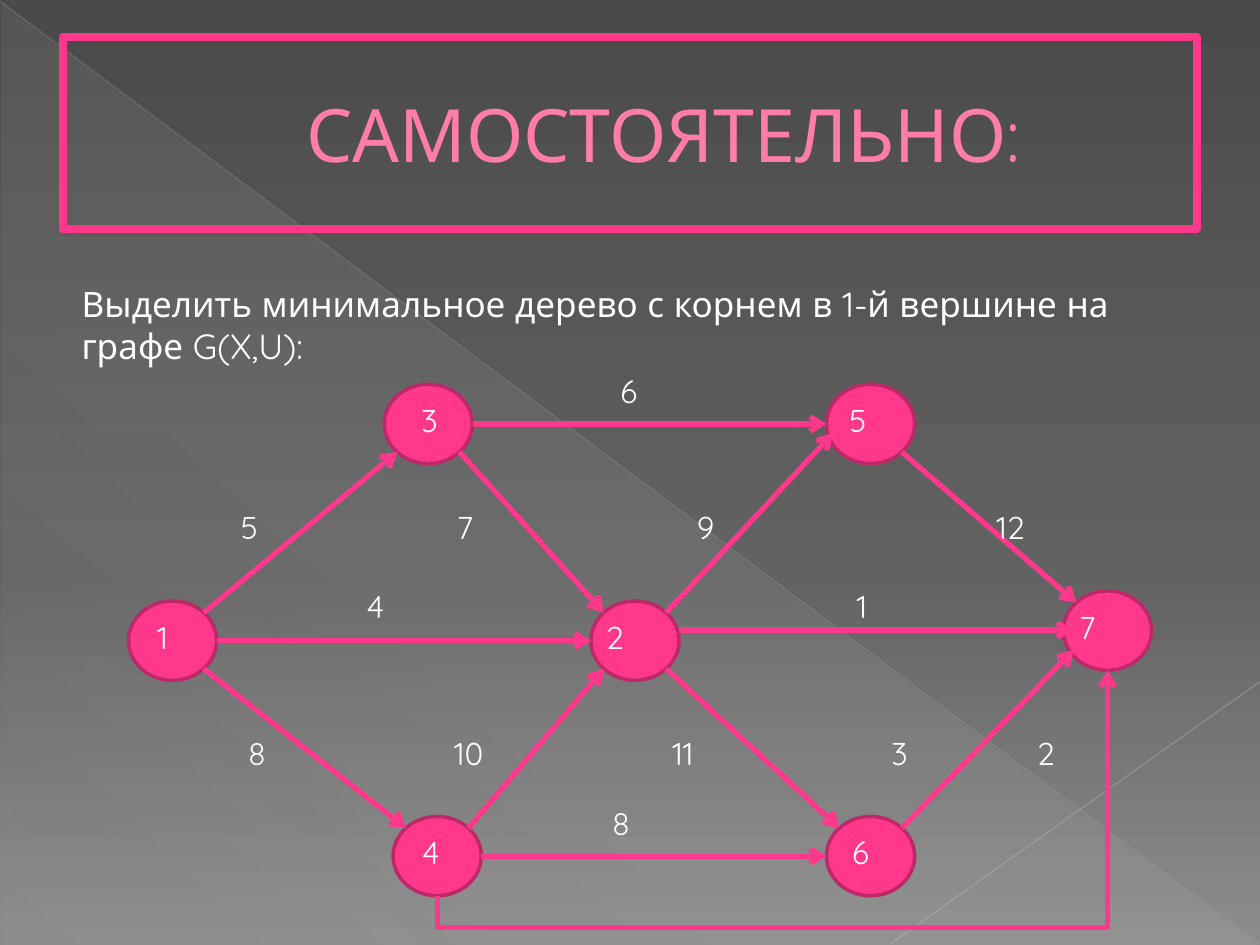
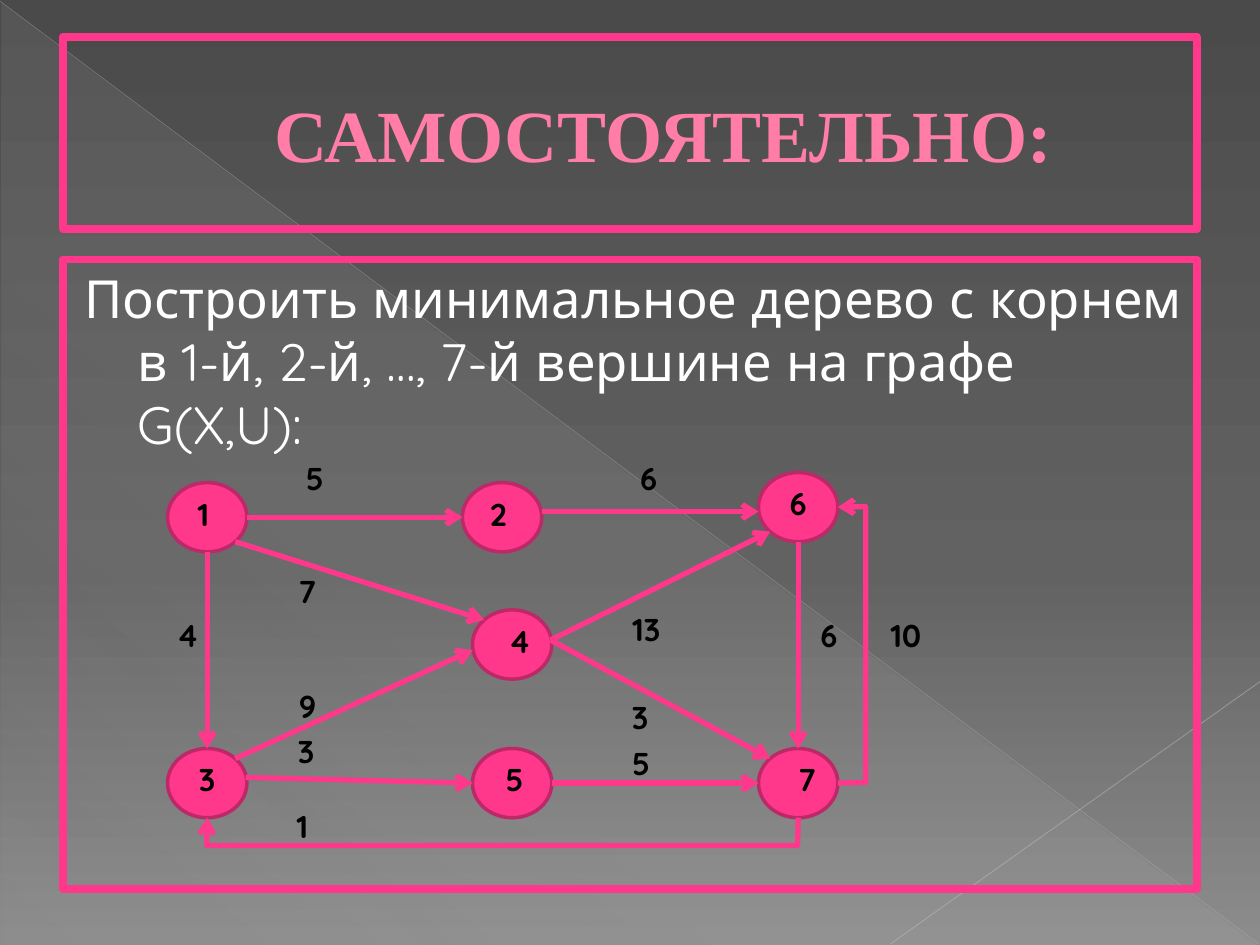
from lxml import etree
from pptx import Presentation
from pptx import util as u
from pptx.dml.color import RGBColor
from pptx.enum import shapes, text
from pptx.oxml import ns

PINK = RGBColor(0xFF, 0x38, 0x8C)
NODE_BORDER = RGBColor(0xBD, 0x29, 0x68)
TITLE_PINK = RGBColor(0xFF, 0x7D, 0xA7)
TITLE_OUTLINE = RGBColor(0xB1, 0x27, 0x61)
WHITE = RGBColor(0xFF, 0xFF, 0xFF)
BLACK = RGBColor(0, 0, 0)
PALE_GREY = RGBColor(0xBF, 0xBF, 0xBF)
LIGHT_GREY = RGBColor(0xC6, 0xC6, 0xC6)
FONT = "Quicksand"

# Gradient stops: position, colour, opacity (percent)
BACKGROUND_STOPS = [(0, "4A4A4A", 100), (60, "626262", 100), (100, "8C8C8C", 100)]
TRIANGLE_STOPS = [(0, "D2D2D2", 10), (70, "D2D2D2", 8), (100, "D2D2D2", 1)]

DIAGONAL = 0.3536  # half of cos 45°: diagonal point of an ellipse of width 1
SIDES = {
    "top": (0, -0.5), "bottom": (0, 0.5), "left": (-0.5, 0), "right": (0.5, 0),
    "top-left": (-DIAGONAL, -DIAGONAL), "top-right": (DIAGONAL, -DIAGONAL),
    "bottom-left": (-DIAGONAL, DIAGONAL), "bottom-right": (DIAGONAL, DIAGONAL),
}

# Nodes: number -> left, top, shift of the number from the centre
FIRST_SIZE = (0.7, 0.63)
FIRST_NODES = {
    1: (1.02, 4.77, -0.08), 2: (4.69, 4.77, -0.16), 3: (3.05, 3.05, 0.01),
    4: (3.12, 6.48, -0.05), 5: (6.56, 3.05, -0.1), 6: (6.56, 6.48, -0.08),
    7: (8.44, 4.69, -0.16),
}
# Edges: each end is a side of a node or a free point
FIRST_EDGES = [
    ((1, "top-right"), (3, "bottom-left")),
    ((1, "right"), (2, "left")),
    ((1, "bottom-right"), (4, "top-left")),
    ((3, "bottom-right"), (2, "top-left")),
    ((3, "right"), (5, "left")),
    ((4, "top-right"), (2, "bottom-left")),
    ((4, "right"), (6, "left")),
    ((2, "top-right"), (6.61, 3.44)),
    ((2, "bottom-right"), (6, "top-left")),
    ((5.39, 5), (8.52, 5)),
    ((5, "bottom-right"), (7, "top-left")),
    ((6, "top-right"), (8.52, 5.16)),
]
# Weights: row centre -> (text, column centre)
FIRST_WEIGHTS = {
    3.1: [("6", 4.99)],
    4.18: [("5", 1.98), ("7", 3.69), ("9", 5.6), ("12", 8.02)],
    4.81: [("4", 2.98), ("1", 6.84)],
    5.98: [("8", 2.04), ("10", 3.72), ("11", 5.42), ("3", 7.14), ("2", 8.3)],
    6.53: [("8", 4.93)],
}

SECOND_SIZE = (0.63, 0.55)
SECOND_NODES = {
    1: (1.33, 3.83, -0.03), 2: (3.67, 3.83, -0.03), 3: (1.33, 5.94, 0),
    4: (3.75, 4.84, 0.06), 5: (3.75, 5.94, 0.02), 6: (6.02, 3.75, 0),
    7: (6.02, 5.94, 0.07),
}
SECOND_EDGES = [
    ((1, "right"), (2, "left")),
    ((1, "bottom-right"), (4, "top-left")),
    ((1, "bottom"), (3, "top")),
    ((4.3, 4.06), (6.02, 4.06)),
    ((3, "top-right"), (3.75, 5.16)),
    ((1.95, 6.17), (5, "left")),
    ((4.37, 5.08), (6, "bottom-left")),
    ((4.37, 5.08), (7, "top-left")),
    ((5, "right"), (7, "left")),
    ((6, "bottom"), (7, "top")),
]
SECOND_WEIGHTS = {
    3.79: [("5", 2.5), ("6", 5.15)],
    4.69: [("7", 2.44)],
    4.99: [("13", 5.13)],
    5.04: [("4", 1.49), ("6", 6.58), ("10", 7.19)],
    5.6: [("9", 2.44)],
    5.69: [("3", 5.08)],
    5.96: [("3", 2.43)],
    6.06: [("5", 5.09)],
    6.56: [("1", 2.4)],
}


def add_xml(parent, tag, **attributes):
    child = etree.SubElement(parent, ns.qn(tag))
    for name, value in attributes.items():
        child.set(name, str(value))
    return child


def set_gradient(properties, stops, angle):
    """Put a gradient in the place of the plain fill."""
    gradient = etree.Element(ns.qn("a:gradFill"), rotWithShape="1")
    stop_list = add_xml(gradient, "a:gsLst")
    for position, colour, opacity in stops:
        stop = add_xml(stop_list, "a:gs", pos=position * 1000)
        colour_node = add_xml(stop, "a:srgbClr", val=colour)
        add_xml(colour_node, "a:alpha", val=opacity * 1000)
    add_xml(gradient, "a:lin", ang=angle * 60000, scaled=0)
    plain_fill = properties.find(ns.qn("a:solidFill"))
    properties.replace(plain_fill, gradient)


def set_line(shape, colour, width):
    shape.line.color.rgb = colour
    shape.line.width = u.Pt(width)


def add_arrowhead(shape):
    line = shape.element.spPr.find(ns.qn("a:ln"))
    add_xml(line, "a:tailEnd", type="arrow")


def add_line(slide, start, end, colour, width):
    connector = slide.shapes.add_connector(
        shapes.MSO_CONNECTOR.STRAIGHT, *map(u.Inches, (*start, *end)))
    set_line(connector, colour, width)
    add_xml(connector.element.spPr, "a:effectLst")
    return connector


def format_text(frame, size, colour, bold=False, font=FONT):
    for paragraph in frame.paragraphs:
        for run in paragraph.runs:
            run.font.name = font
            run.font.size = u.Pt(size)
            run.font.bold = bold
            run.font.color.rgb = colour


def set_indent(paragraph, left, first=0):
    properties = paragraph._p.get_or_add_pPr()
    properties.set("marL", str(u.Inches(left)))
    properties.set("indent", str(u.Inches(first)))


def decorate_master(presentation, slide):
    """Give the master its background, pale triangle and thin lines."""
    master = presentation.slide_master
    master.background.fill.solid()
    set_gradient(master.element.xpath("./p:cSld/p:bg/p:bgPr")[0], BACKGROUND_STOPS, 90)

    triangle = slide.shapes.add_shape(
        shapes.MSO_SHAPE.RIGHT_TRIANGLE, *map(u.Inches, (0.01, 0.02, 9.98, 7.48)))
    triangle.shadow.inherit = False
    triangle.fill.solid()
    triangle.line.fill.background()
    set_gradient(triangle.element.spPr, TRIANGLE_STOPS, 133)

    falling = add_line(slide, (0, 0.01), (9.99, 7.49), PALE_GREY, 0.39)
    rising = add_line(slide, (10, 5.41), (7.07, 7.49), LIGHT_GREY, 0.47)
    for line, opacity in ((falling, 35), (rising, 45)):
        colour = line.element.xpath(".//a:ln//a:srgbClr")[0]
        add_xml(colour, "a:alpha", val=opacity * 1000)

    for number, shape in enumerate((triangle, falling, rising), start=101):
        shape.element.xpath("./*/p:cNvPr")[0].set("id", str(number))
        master.shapes.element.append(shape.element)


def set_title(slide, font, bold):
    title = slide.shapes.title
    title.left, title.top, title.width, title.height = map(u.Inches, (0.5, 0.29, 9, 1.53))
    set_line(title, PINK, 4.5)
    frame = title.text_frame
    frame.text = "САМОСТОЯТЕЛЬНО:"
    frame.vertical_anchor = text.MSO_ANCHOR.MIDDLE
    frame.auto_size = text.MSO_AUTO_SIZE.NONE
    paragraph = frame.paragraphs[0]
    paragraph.alignment = text.PP_ALIGN.CENTER
    set_indent(paragraph, 0.53)
    format_text(frame, 42, TITLE_PINK, bold, font)
    # Thin outline of the letters
    outline = etree.Element(ns.qn("a:ln"), w=str(u.Pt(0.5)))
    add_xml(add_xml(outline, "a:solidFill"), "a:srgbClr", val=TITLE_OUTLINE)
    paragraph.runs[0].font._element.insert(0, outline)


def add_task(slide, box, wording, size):
    task = slide.shapes.add_textbox(*map(u.Inches, box))
    task.text_frame.word_wrap = True
    task.text_frame.text = wording
    format_text(task.text_frame, size, WHITE)
    return task


def add_node(slide, number, place, size, colour, bold):
    left, top, shift = place
    node = slide.shapes.add_shape(
        shapes.MSO_SHAPE.OVAL, *map(u.Inches, (left, top, *size)))
    node.shadow.inherit = False
    node.fill.solid()
    node.fill.fore_color.rgb = PINK
    set_line(node, NODE_BORDER, 2)
    frame = node.text_frame
    frame.text = str(number)
    frame.word_wrap = False
    frame.vertical_anchor = text.MSO_ANCHOR.MIDDLE
    frame.margin_top = 0
    frame.margin_bottom = u.Inches(0.06)
    frame.margin_left = u.Inches(max(2 * shift, 0))
    frame.margin_right = u.Inches(max(-2 * shift, 0))
    frame.paragraphs[0].alignment = text.PP_ALIGN.CENTER
    format_text(frame, 18, colour, bold)


def add_weight(slide, wording, x, y, colour, bold):
    width, height = 0.6, 0.4
    label = slide.shapes.add_textbox(
        *map(u.Inches, (x - width / 2, y - height / 2, width, height)))
    frame = label.text_frame
    frame.word_wrap = True
    frame.text = wording
    frame.paragraphs[0].alignment = text.PP_ALIGN.CENTER
    format_text(frame, 18, colour, bold)


def add_bent_arrow(slide, points):
    start, *rest = [tuple(map(u.Inches, point)) for point in points]
    builder = slide.shapes.build_freeform(*start)
    builder.add_line_segments(rest, close=False)
    arrow = builder.convert_to_shape()
    arrow.shadow.inherit = False
    arrow.fill.background()
    set_line(arrow, PINK, 3)
    add_arrowhead(arrow)


def add_graph(slide, nodes, size, edges, bent_edges, weights, colour, bold=False):
    def locate(end):
        if end[1] not in SIDES:
            return end
        left, top, _ = nodes[end[0]]
        across, down = SIDES[end[1]]
        return left + size[0] * (0.5 + across), top + size[1] * (0.5 + down)

    for number, place in nodes.items():
        add_node(slide, number, place, size, colour, bold)
    for start, end in edges:
        add_arrowhead(add_line(slide, locate(start), locate(end), PINK, 3))
    for points in bent_edges:
        add_bent_arrow(slide, [locate(point) for point in points])
    for y, row in weights.items():
        for wording, x in row:
            add_weight(slide, wording, x, y, colour, bold)


def main():
    presentation = Presentation()
    presentation.slide_width = u.Inches(10)
    presentation.slide_height = u.Inches(7.5)
    title_only = presentation.slide_layouts[5]

    # Slide 1: tree rooted at the first node
    slide = presentation.slides.add_slide(title_only)
    decorate_master(presentation, slide)
    set_title(slide, FONT, False)
    add_task(slide, (0.55, 2.19, 8.83, 0.77),
             "Выделить минимальное дерево с корнем в 1-й вершине на графе G(X,U):", 20)
    around = [(4, "bottom"), (3.47, 7.36), (8.79, 7.36), (7, "bottom")]
    add_graph(slide, FIRST_NODES, FIRST_SIZE, FIRST_EDGES, [around],
              FIRST_WEIGHTS, WHITE)

    # Slide 2: trees rooted at every node
    slide = presentation.slides.add_slide(title_only)
    set_title(slide, "Times New Roman", True)
    task = add_task(slide, (0.5, 2.06, 9, 5),
                    "Построить минимальное дерево с корнем в 1-й, 2-й, …, 7-й "
                    "вершине на графе G(X,U):", 30)
    set_line(task, PINK, 4.5)
    paragraph = task.text_frame.paragraphs[0]
    paragraph.space_before = u.Pt(6)
    set_indent(paragraph, 0.49, -0.42)
    upward = [(7, "right"), (6.87, 6.21), (6.87, 4.02), (6, "right")]
    back = [(7, "bottom"), (6.33, 6.71), (1.64, 6.71), (3, "bottom")]
    add_graph(slide, SECOND_NODES, SECOND_SIZE, SECOND_EDGES, [upward, back],
              SECOND_WEIGHTS, BLACK, bold=True)

    presentation.save("out.pptx")


if __name__ == "__main__":
    main()
